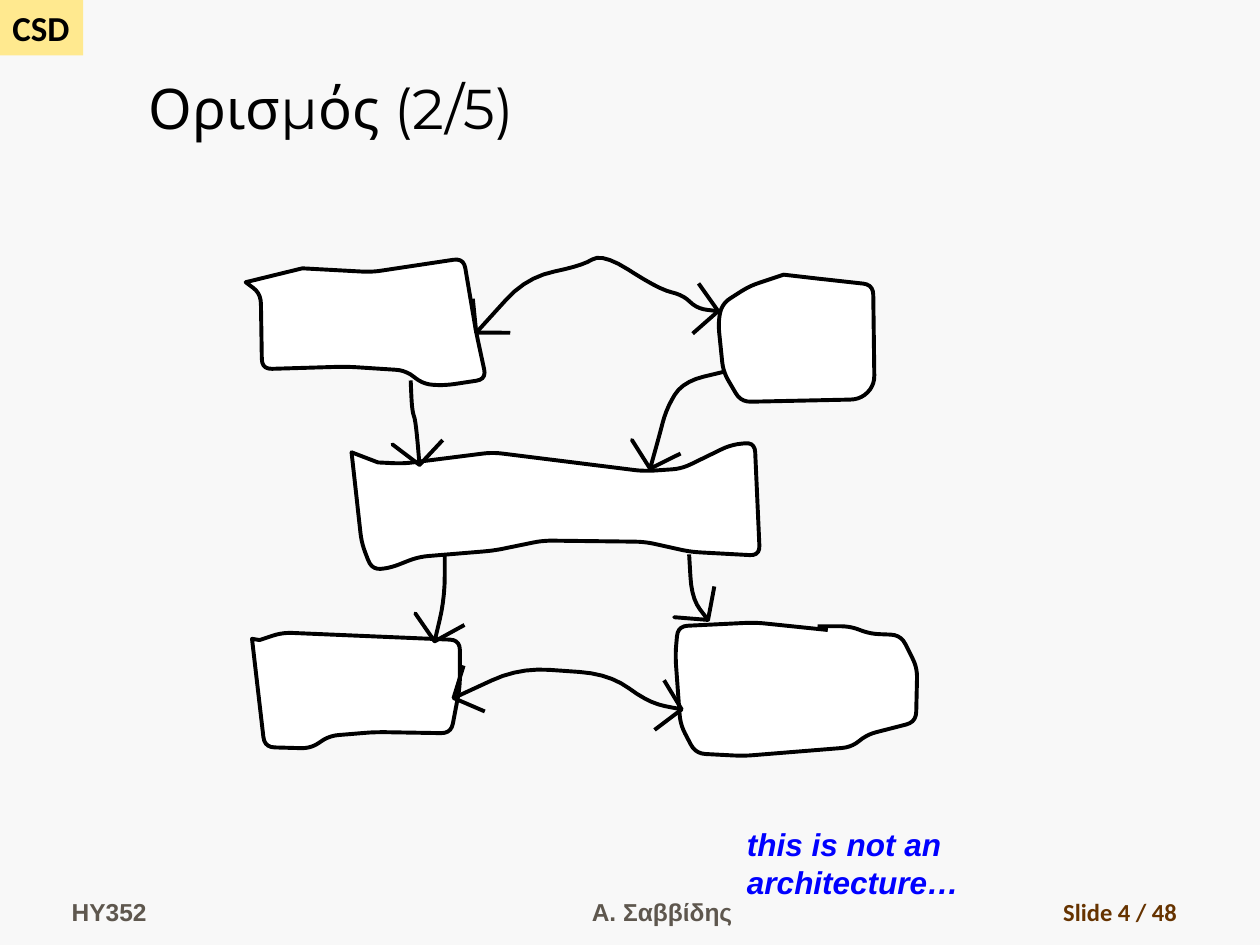
"""Build the sketch slide: five hand-drawn boxes joined by hand-drawn arrows."""
from dataclasses import dataclass
from math import atan2, cos, dist, radians, sin

from pptx import Presentation
from pptx.dml.color import RGBColor as Rgb
from pptx.enum.text import MSO_ANCHOR as Anchor, MSO_AUTO_SIZE as Fit, PP_ALIGN as Align
from pptx.util import Pt

PX = 9144
STEPS = 5
WING = 27
SPREAD = radians(48)

Dot = tuple[float, float]


@dataclass(frozen=True)
class Theme:
    back: str = "F8F8F8"
    tag: str = "FFE98F"
    ink: str = "000000"
    paper: str = "FFFFFF"
    grey: str = "5E574E"
    blue: str = "0000FF"
    brown: str = "663300"
    title: int = 32
    badge: int = 20
    remark: int = 18
    foot: int = 14
    pen: float = 2.25


@dataclass(frozen=True)
class Box:
    dots: tuple[Dot, ...]
    close: bool = True
    bend: int = 8


@dataclass(frozen=True)
class Link:
    dots: tuple[Dot, ...]
    both: bool = False
    bend: int = 24


@dataclass(frozen=True)
class Foot:
    text: str
    left: int
    width: int
    align: Align
    font: str
    color: str


LOOK = Theme()

BOXES = (
    Box(((195, 224), (207, 233), (208, 293), (275, 291), (322, 294), (336, 305),
         (353, 306), (386, 301), (378, 264), (368, 205), (295, 216), (240, 213))),
    Box(((622, 218), (595, 227), (573, 241), (570, 256), (574, 295), (588, 319),
         (683, 317), (694, 306), (693, 226), (648, 221))),
    Box(((279, 359), (287, 431), (295, 452), (309, 451), (332, 442), (392, 437),
         (431, 429), (512, 430), (548, 438), (603, 441), (599, 351), (580, 353),
         (541, 372), (511, 374), (391, 359), (320, 368), (300, 367))),
    Box(((200, 507), (210, 593), (247, 594), (261, 584), (298, 581), (358, 582),
         (365, 545), (365, 508), (224, 502), (206, 508))),
    Box(((657, 500), (599, 494), (538, 497), (536, 520), (540, 575), (552, 598),
         (590, 600), (676, 593), (688, 583), (727, 573), (728, 530), (715, 504),
         (690, 503), (675, 497), (649, 497)), close=False),
)

LINKS = (
    Link(((378, 264), (418, 220), (462, 211), (478, 201), (524, 230), (542, 234),
          (553, 245), (570, 247)), both=True),
    Link(((360, 554), (412, 530), (484, 535), (515, 558), (541, 563)), both=True),
    Link(((326, 302), (327, 326), (330, 334), (333, 369))),
    Link(((575, 295), (542, 303), (529, 324), (523, 347), (516, 372))),
    Link(((353, 440), (353, 475), (345, 509))),
    Link(((547, 440), (549, 475), (562, 492))),
)

FEET = (
    Foot("HY352", 47, 219, Align.LEFT, "Arial", LOOK.grey),
    Foot("Α. Σαββίδης", 367, 317, Align.CENTER, "Arial", LOOK.grey),
    Foot("Slide 4 / 48", 736, 208, Align.RIGHT, "Calibri", LOOK.brown),
)


def write(shape, text: str, *, size: int, font: str, color: str = LOOK.ink,
          bold: bool = True, italic: bool = False, align: Align = Align.LEFT,
          anchor: Anchor = Anchor.BOTTOM, wrap: bool = True) -> None:
    """Put one formatted line of text in a shape."""
    frame = shape.text_frame
    frame.auto_size, frame.word_wrap = Fit.NONE, wrap
    frame.vertical_anchor = anchor
    para = frame.paragraphs[0]
    para.alignment = align
    run = para.add_run()
    run.text = text
    face = run.font
    face.name, face.size = font, Pt(size)
    face.bold, face.italic = bold, italic
    face.color.rgb = Rgb.from_string(color)


def toward(start: Dot, end: Dot, bend: int) -> Dot:
    """Step from start toward end by the bend, at most halfway."""
    part = min(0.5, bend / dist(start, end))
    return tuple(a + (b - a) * part for a, b in zip(start, end))


def smooth(dots: tuple[Dot, ...], bend: int) -> list[Dot]:
    """Round the inner corners of a line."""
    line = [dots[0]]
    for prev, turn, last in zip(dots, dots[1:], dots[2:]):
        start, end = toward(turn, prev, bend), toward(turn, last, bend)
        for step in range(STEPS + 1):
            t = step / STEPS
            line.append(tuple((1 - t) ** 2 * a + 2 * t * (1 - t) * b + t * t * c
                              for a, b, c in zip(start, turn, end)))
    return line + [dots[-1]]


def barb(tip: Dot, tail: Dot) -> list[Dot]:
    """Return the wing, tip and wing of an arrowhead."""
    angle = atan2(tail[1] - tip[1], tail[0] - tip[0])
    left, right = ((tip[0] + WING * cos(a), tip[1] + WING * sin(a))
                   for a in (angle - SPREAD, angle + SPREAD))
    return [left, tip, right]


def draw(shapes, line: list[Dot], solid: bool = False, close: bool = False) -> None:
    """Draw one pen stroke."""
    first, *rest = [(round(x * PX), round(y * PX)) for x, y in line]
    pen = shapes.build_freeform(*first)
    pen.add_line_segments(rest, close=close)
    shape = pen.convert_to_shape()
    shape.shadow.inherit = False
    if solid:
        shape.fill.solid()
        shape.fill.fore_color.rgb = Rgb.from_string(LOOK.paper)
    else:
        shape.fill.background()
    shape.line.color.rgb = Rgb.from_string(LOOK.ink)
    shape.line.width = Pt(LOOK.pen)


def connect(shapes, link: Link) -> None:
    """Draw a link with its arrowheads."""
    line = smooth(link.dots, link.bend)
    head = barb(link.dots[-1], link.dots[-2])
    if link.both:
        draw(shapes, line)
        draw(shapes, head)
        draw(shapes, barb(link.dots[0], link.dots[1]))
    else:
        wing, tip, _ = head
        draw(shapes, line + head[:1] + [tip] + head[2:])


def label(shapes, left: int, top: int, width: int, height: int):
    """Add an empty text box placed in px."""
    return shapes.add_textbox(left * PX, top * PX, width * PX, height * PX)


def main() -> None:
    """Build and save the slide."""
    deck = Presentation()
    deck.slide_width, deck.slide_height = 1000 * PX, 750 * PX
    slide = deck.slides.add_slide(deck.slide_layouts[5])
    fill = slide.background.fill
    fill.solid()
    fill.fore_color.rgb = Rgb.from_string(LOOK.back)
    shapes = slide.shapes

    badge = label(shapes, 0, 0, 66, 44)
    badge.fill.solid()
    badge.fill.fore_color.rgb = Rgb.from_string(LOOK.tag)
    write(badge, "CSD", size=LOOK.badge, font="Calibri", anchor=Anchor.TOP, wrap=False)

    title = shapes.title
    title.left, title.top, title.width, title.height = (
        n * PX for n in (108, 17, 892, 100))
    write(title, "Ορισμός (2/5)", size=LOOK.title, font="Montserrat", bold=False)

    sketch = shapes.add_group_shape().shapes
    for box in BOXES:
        draw(sketch, smooth(box.dots, box.bend), solid=True, close=box.close)
    for link in LINKS:
        connect(sketch, link)

    remark = label(shapes, 583, 650, 349, 40)
    remark.text_frame.margin_right = 150 * PX
    write(remark, "this is not an architecture…", size=LOOK.remark, font="Arial",
          color=LOOK.blue, italic=True, anchor=Anchor.TOP)

    for foot in FEET:
        write(label(shapes, foot.left, 690, foot.width, 50), foot.text, size=LOOK.foot,
              font=foot.font, color=foot.color, align=foot.align)

    deck.save("out.pptx")


if __name__ == "__main__":
    main()
